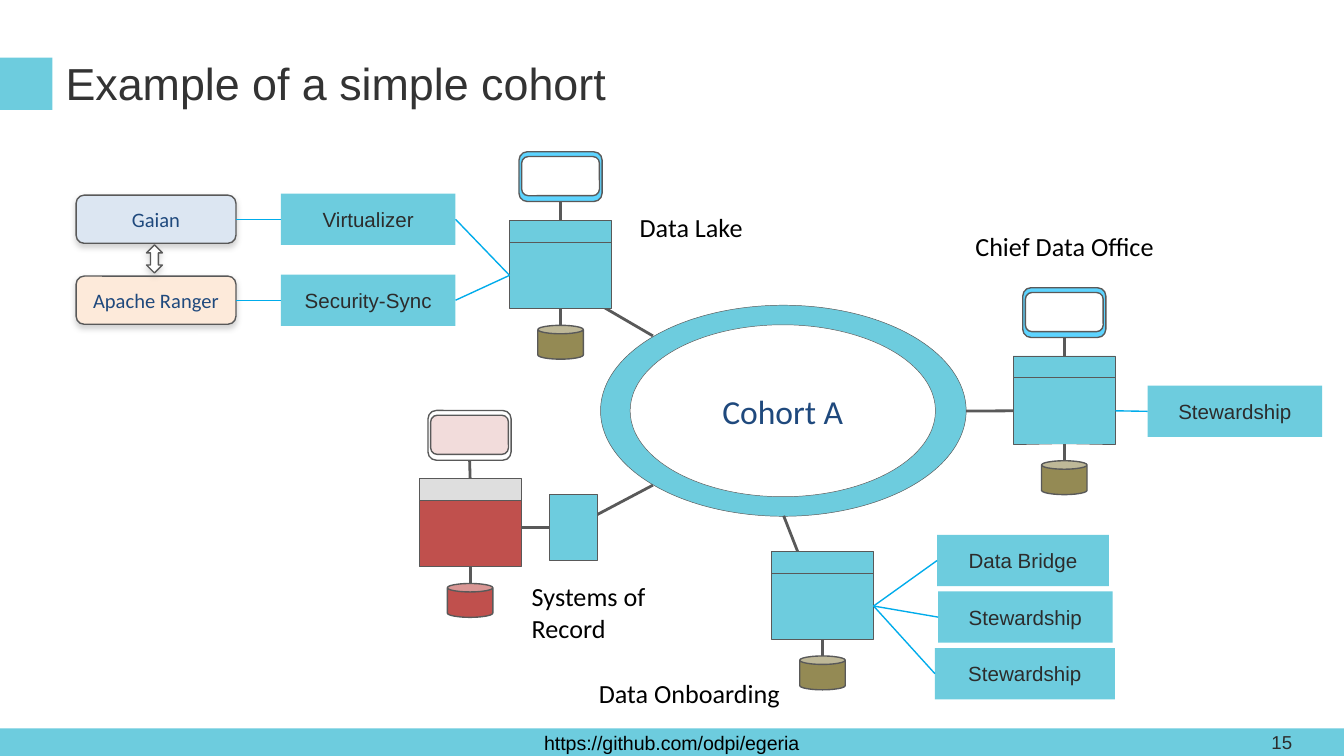
from collections import namedtuple

from lxml.etree import SubElement
from pptx import Presentation
from pptx.dml.color import RGBColor
from pptx.enum.shapes import MSO_CONNECTOR, MSO_SHAPE
from pptx.enum.text import MSO_ANCHOR, PP_ALIGN
from pptx.oxml.ns import qn
from pptx.util import Cm, Pt

Box = namedtuple("Box", "left top width height")
Server = namedtuple("Server", "body header")
TOP, LEFT, BOTTOM, RIGHT = range(4)
COLORS = {
    "aqua": "6DCCDE", "sky": "5DD4FF", "link": "00ACEB", "outline": "595959",
    "white": "FFFFFF", "olive": "948A54", "red": "C0504D", "pink": "F2DCDB",
    "silver": "DEDEDE", "peach": "FDEADA", "ice": "DCE6F2", "navy": "1F497D",
    "ink": "2C2C2C", "title": "333333", "black": "000000", "shade": "808080",
}


def color(name):
    return RGBColor.from_string(COLORS[name])


def write(shape, text, size, font, ink, align=PP_ALIGN.CENTER, anchor=MSO_ANCHOR.MIDDLE):
    frame = shape.text_frame
    frame.word_wrap = True
    frame.vertical_anchor = anchor
    para = frame.paragraphs[0]
    para.alignment = align
    span = para.add_run()
    span.text = text
    span.font.size = Pt(size)
    span.font.name = font
    span.font.color.rgb = color(ink)


def add_shape(page, kind, box, fill, line=None):
    shape = page.shapes.add_shape(kind, *map(Cm, box))
    shape.shadow.inherit = False
    shape.fill.solid()
    shape.fill.fore_color.rgb = color(fill)
    if line:
        shape.line.color.rgb = color("outline")
        shape.line.width = Pt(line)
    else:
        shape.line.fill.background()
    return shape


def add_label(page, box, text, size=14, font="Calibri", ink="black",
              align=PP_ALIGN.LEFT, anchor=MSO_ANCHOR.TOP, inset=0.13):
    label = page.shapes.add_textbox(*map(Cm, box))
    label.text_frame.margin_top = label.text_frame.margin_bottom = Cm(inset)
    write(label, text, size, font, ink, align, anchor)


def add_shadow(shape):
    effects = shape._element.spPr.find(qn("a:effectLst"))
    shadow = SubElement(effects, qn("a:outerShdw"), blurRad="40000", dist="23000",
                        dir="5400000", rotWithShape="0")
    tint = SubElement(shadow, qn("a:srgbClr"), val=COLORS["shade"])
    SubElement(tint, qn("a:alpha"), val="35000")


def add_link(page, start, end, ink="outline", width=1.5):
    points = [(0, 0) if hasattr(spot[0], "shape_id") else spot for spot in (start, end)]
    link = page.shapes.add_connector(MSO_CONNECTOR.STRAIGHT, *map(Cm, points[0] + points[1]))
    for spot, join in ((start, link.begin_connect), (end, link.end_connect)):
        if hasattr(spot[0], "shape_id"):
            join(*spot)
    link.line.color.rgb = color(ink)
    link.line.width = Pt(width)
    SubElement(link._element.spPr, qn("a:effectLst"))


def add_heading(page, box):
    add_shape(page, MSO_SHAPE.RECTANGLE, (box.left, box.top + 0.28, 0.99, 0.99), "aqua")
    add_label(page, (box.left + 0.99, box.top, box.width - 0.99, box.height),
              "Example of a simple cohort", 24, "Arial", "title", inset=0.25)


def add_footer(page, box):
    bar = add_shape(page, MSO_SHAPE.RECTANGLE, box, "aqua")
    write(bar, "https://github.com/odpi/egeria", 10.5, "Arial", "black")
    add_label(page, (box.left + box.width - 1.62, box.top, 1.52, box.height), "15",
              10, "Arial", "ink", anchor=MSO_ANCHOR.MIDDLE, inset=0)


def add_cohort(page, box):
    add_shape(page, MSO_SHAPE.OVAL, box, "aqua", 0.25)
    inner = add_shape(page, MSO_SHAPE.OVAL,
                      (box.left + 0.56, box.top + 0.37, box.width - 1.14, box.height - 0.74),
                      "white", 0.25)
    write(inner, "Cohort A", 18, "Calibri", "navy")


def add_server(page, box, fill="aqua", header_fill="aqua", store="olive"):
    strip = 0.41
    middle = box.left + box.width / 2
    body = add_shape(page, MSO_SHAPE.RECTANGLE,
                     (box.left, box.top + strip, box.width, box.height - strip), fill, 0.25)
    header = add_shape(page, MSO_SHAPE.RECTANGLE,
                       (box.left, box.top, box.width, strip), header_fill, 0.25)
    store_top = box.top + box.height + 0.32
    add_shape(page, MSO_SHAPE.CAN, (middle - 0.43, store_top, 0.86, 0.64), store, 0.75)
    add_link(page, (body, BOTTOM), (middle, store_top))
    return Server(body, header)


def add_screen(page, box, server, frame="sky", glass="white"):
    screen = add_shape(page, MSO_SHAPE.ROUNDED_RECTANGLE, box, frame, 0.75)
    add_shape(page, MSO_SHAPE.ROUNDED_RECTANGLE,
              (box.left + 0.05, box.top + 0.09, box.width - 0.1, box.height - 0.2),
              glass, 0.75)
    add_link(page, (server.header, TOP), (screen, BOTTOM))


def add_tool(page, box, name, server, side):
    tool = add_shape(page, MSO_SHAPE.RECTANGLE, box, "aqua")
    write(tool, name, 11, "Arial", "ink")
    add_link(page, (server.body, side), (tool, LEFT if side == RIGHT else RIGHT), "link", 0.75)
    return tool


def add_integrations(page, box, server):
    rows = (("Gaian", "ice", "Virtualizer"), ("Apache Ranger", "peach", "Security-Sync"))
    for row, (engine_name, fill, tool_name) in enumerate(rows):
        top = box.top + row * 1.53
        tool = add_tool(page, (box.left + box.width - 3.3, top, 3.3, 0.97),
                        tool_name, server, LEFT)
        engine = add_shape(page, MSO_SHAPE.ROUNDED_RECTANGLE,
                           (box.left, top + 0.03, 3.02, 0.91), fill, 0.75)
        add_shadow(engine)
        write(engine, engine_name, 11, "Calibri", "navy")
        add_link(page, (engine, RIGHT), (tool, LEFT), "link", 0.75)
    arrow = add_shape(page, MSO_SHAPE.UP_DOWN_ARROW,
                      (box.left + 1.33, box.top + 0.97, 0.3, 0.53), "white", 0.75)
    add_shadow(arrow)


def main():
    deck = Presentation()
    deck.slide_width, deck.slide_height = Cm(25.4), Cm(14.29)
    page = deck.slides.add_slide(deck.slide_layouts[6])

    add_footer(page, Box(0, 13.77, 25.4, 0.52))
    add_heading(page, Box(0, 0.81, 24.54, 1.57))
    add_cohort(page, Box(11.35, 5.77, 6.91, 3.99))
    for start, end in (((10.59, 5.33), (12.34, 6.35)), ((10.62, 10.08), (12.34, 9.17)),
                       ((15.54, 11.61), (14.81, 9.75))):
        add_link(page, start, end)

    lake, office, records, onboarding = [
        add_server(page, Box(left, top, 1.93, 1.66), *fills)
        for left, top, fills in (
            (9.63, 4.17, ()), (19.15, 6.73, ()),
            (7.92, 9.05, ("red", "silver", "red")), (14.58, 10.42, ()))
    ]
    add_screen(page, Box(9.81, 2.87, 1.57, 0.94), lake)
    add_screen(page, Box(19.33, 5.44, 1.57, 0.94), office)
    add_screen(page, Box(8.09, 7.76, 1.57, 0.94), records, "white", "pink")

    adapter = add_shape(page, MSO_SHAPE.RECTANGLE, (10.38, 9.35, 0.9, 1.24), "aqua", 0.25)
    add_link(page, (9.84, 9.97), (adapter, LEFT))
    add_link(page, (18.26, 7.77), (office.body, LEFT))

    add_integrations(page, Box(1.44, 3.66, 7.17, 2.5), lake)
    add_tool(page, (21.69, 7.29, 3.3, 0.97), "Stewardship", office, RIGHT)
    tools = (("Data Bridge", 17.71, 3.25), ("Stewardship", 17.73, 3.3),
             ("Stewardship", 17.67, 3.4))
    for row, (name, left, width) in enumerate(tools):
        add_tool(page, (left, 10.11 + row * 1.07, width, 0.97), name, onboarding, RIGHT)

    add_label(page, (18.01, 4.22, 4.22, 0.86), "Chief Data Office", align=PP_ALIGN.CENTER)
    add_label(page, (11.84, 3.86, 4.22, 0.86), "Data Lake")
    add_label(page, (9.8, 10.85, 2.82, 1.45), "Systems of Record")
    add_label(page, (10.92, 12.67, 4.22, 0.86), "Data Onboarding", align=PP_ALIGN.CENTER)
    deck.save("out.pptx")


if __name__ == "__main__":
    main()
